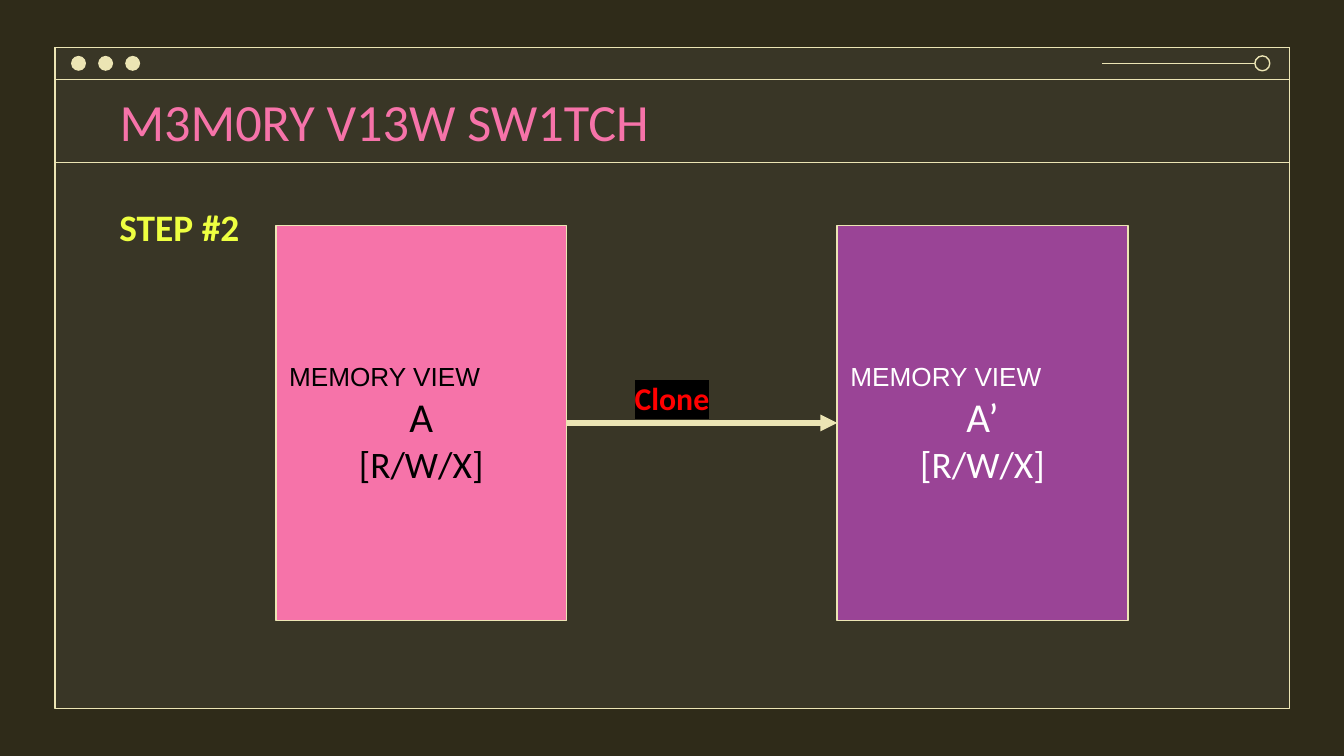
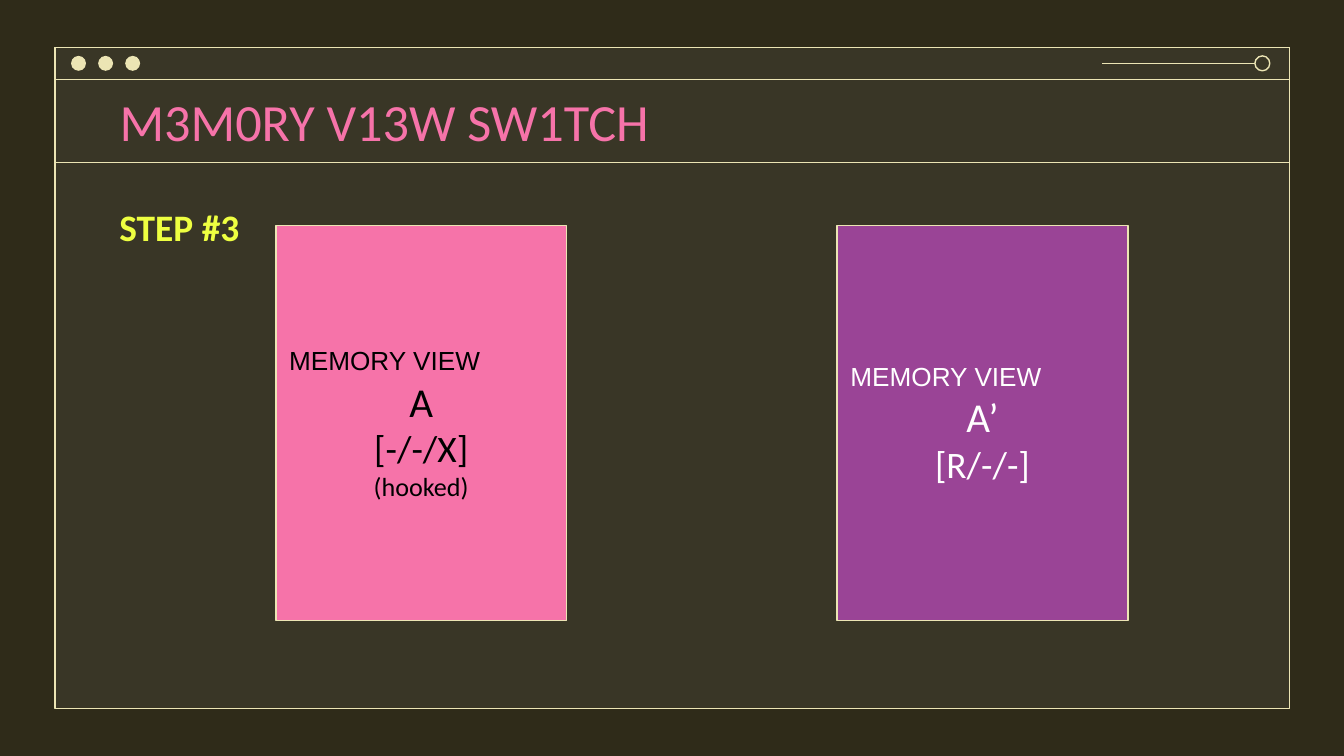
from typing import NamedTuple, Optional

from lxml import etree
from pptx import Presentation
from pptx.dml.color import RGBColor
from pptx.enum.shapes import MSO_CONNECTOR, MSO_SHAPE
from pptx.enum.text import MSO_ANCHOR, MSO_AUTO_SIZE, PP_ALIGN
from pptx.oxml.ns import qn
from pptx.util import Pt

RECTANGLE, OVAL = MSO_SHAPE.RECTANGLE, MSO_SHAPE.OVAL
STRAIGHT = MSO_CONNECTOR.STRAIGHT
LEFT, CENTER = PP_ALIGN.LEFT, PP_ALIGN.CENTER
TOP, MIDDLE = MSO_ANCHOR.TOP, MSO_ANCHOR.MIDDLE
FIXED, GROW = MSO_AUTO_SIZE.NONE, MSO_AUTO_SIZE.SHAPE_TO_FIT_TEXT

BACKGROUND = "2F2B19"
CREAM = "ECE5B4"
GREY = "7C7C7C"
PINK = "F673A9"
PURPLE = "9A4496"
YELLOW = "EEFF41"
RED = "FF0000"
BLACK = "000000"
WHITE = "FFFFFF"

BODY_FONT, LABEL_FONT = "Calibri", "Arial"
INSET = 7.2
THIN, THICK = 0.75, 3

TITLE = "M3M0RY V13W SW1TCH"


class Box(NamedTuple):
    left: float
    top: float
    width: float
    height: float

    @property
    def right(self) -> float:
        return self.left + self.width

    @property
    def middle(self) -> float:
        return self.top + self.height / 2

    def in_points(self) -> tuple:
        return tuple(Pt(length) for length in self)


class MemoryView(NamedTuple):
    name: str
    access: str
    note: str = ""


class Step(NamedTuple):
    label: str
    source: MemoryView
    clone: MemoryView
    arrow_label: str = ""


WINDOW = Box(29.5, 25.4, 661.4, 354.2)
WINDOW_BAR = WINDOW._replace(height=17.1)
DOT_SIZE, DOT_STEP, FIRST_DOT = 8, 14.5, 38.1
DOT_TOP = WINDOW_BAR.middle - DOT_SIZE / 2
RING = Box(672.3, DOT_TOP, DOT_SIZE, DOT_SIZE)
SLIDER_LEFT = 590.4
TITLE_RULE_TOP = 87
TITLE_BOX = Box(56.9, 42.5, 607, 44.5)
STEP_BOX = Box(56.9, 102.4, 95, 38.8)
SOURCE_BOX = Box(147.8, 120.8, 155.8, 211.6)
CLONE_BOX = SOURCE_BOX._replace(left=448.5)
ARROW_LABEL_BOX = Box(257, 195.6, 206, 35.3)

STEPS = [
    Step("STEP #2", MemoryView("A", "[R/W/X]"), MemoryView("A’", "[R/W/X]"), "Clone"),
    Step("STEP #3", MemoryView("A", "[-/-/X]", "(hooked)"), MemoryView("A’", "[R/-/-]")),
]


def rgb(color: str) -> RGBColor:
    return RGBColor.from_string(color)


def add_panel(slide, kind, box: Box, *, fill: Optional[str] = None,
              line: Optional[str] = None, opacity: int = 100):
    shape = slide.shapes.add_shape(kind, *box.in_points())
    shape.shadow.inherit = False
    if fill:
        shape.fill.solid()
        shape.fill.fore_color.rgb = rgb(fill)
        if opacity < 100:
            color = shape.element.spPr.find(qn("a:solidFill"))[0]
            etree.SubElement(color, qn("a:alpha"), val=str(opacity * 1000))
    else:
        shape.fill.background()
    if line:
        shape.line.color.rgb = rgb(line)
        shape.line.width = Pt(THIN)
    else:
        shape.line.fill.background()
    return shape


def add_line(slide, left: float, right: float, height: float, *,
             width: float = THIN, arrow: bool = False) -> None:
    """Draw a horizontal line at the given distance from the slide top."""
    connector = slide.shapes.add_connector(
        STRAIGHT, Pt(left), Pt(height), Pt(right), Pt(height))
    connector.line.color.rgb = rgb(CREAM)
    connector.line.width = Pt(width)
    properties = connector.element.spPr
    if arrow:
        etree.SubElement(properties.find(qn("a:ln")), qn("a:tailEnd"), type="triangle")
    etree.SubElement(properties, qn("a:effectLst"))


def format_frame(frame, *, anchor=TOP, auto_size=FIXED) -> None:
    frame.word_wrap = True
    frame.auto_size = auto_size
    frame.vertical_anchor = anchor
    frame.margin_left = frame.margin_right = Pt(INSET)
    frame.margin_top = frame.margin_bottom = Pt(INSET)


def write(paragraph, text: str, *, size: float, color: str, font: str = BODY_FONT,
          bold: bool = False, align=LEFT, highlight: Optional[str] = None) -> None:
    paragraph.alignment = align
    run = paragraph.add_run()
    run.text = text
    run.font.size = Pt(size)
    run.font.bold = bold
    run.font.color.rgb = rgb(color)
    if highlight:
        marker = etree.SubElement(run._r.get_or_add_rPr(), qn("a:highlight"))
        etree.SubElement(marker, qn("a:srgbClr"), val=highlight)
    run.font.name = font


def add_label(slide, box: Box, text: str, **text_format) -> None:
    frame = slide.shapes.add_textbox(*box.in_points()).text_frame
    format_frame(frame, auto_size=GROW)
    write(frame.paragraphs[0], text, **text_format)


def add_window(slide) -> None:
    add_panel(slide, RECTANGLE, WINDOW, fill=GREY, opacity=14)
    for box in (WINDOW, WINDOW_BAR):
        add_panel(slide, RECTANGLE, box, line=CREAM)
    for index in range(3):
        dot = Box(FIRST_DOT + index * DOT_STEP, DOT_TOP, DOT_SIZE, DOT_SIZE)
        add_panel(slide, OVAL, dot, fill=CREAM)
    add_panel(slide, OVAL, RING, line=CREAM)
    add_line(slide, SLIDER_LEFT, RING.left, RING.middle)
    add_line(slide, WINDOW.left, WINDOW.right, TITLE_RULE_TOP)


def set_title(slide) -> None:
    title = slide.shapes.title
    title.left, title.top, title.width, title.height = TITLE_BOX.in_points()
    format_frame(title.text_frame, anchor=MIDDLE)
    write(title.text_frame.paragraphs[0], TITLE, size=28, color=PINK)
    # Keep the title in front of the translucent window.
    title.element.getparent().append(title.element)


def add_memory_view(slide, box: Box, view: MemoryView, fill: str, color: str) -> None:
    frame = add_panel(slide, RECTANGLE, box, fill=fill, line=CREAM).text_frame
    format_frame(frame, anchor=MIDDLE)
    write(frame.paragraphs[0], "MEMORY VIEW", size=14, color=color, font=LABEL_FONT)
    for text, size in ((view.name, 22), (view.access, 20), (view.note, 14)):
        if text:
            write(frame.add_paragraph(), text, size=size, color=color, align=CENTER)


def add_step_slide(presentation, step: Step) -> None:
    title_only = presentation.slide_layouts.get_by_name("Title Only")
    slide = presentation.slides.add_slide(title_only)
    add_window(slide)
    set_title(slide)
    add_memory_view(slide, SOURCE_BOX, step.source, PINK, BLACK)
    add_memory_view(slide, CLONE_BOX, step.clone, PURPLE, WHITE)
    add_label(slide, STEP_BOX, step.label, size=20, color=YELLOW, bold=True)
    if step.arrow_label:
        add_line(slide, SOURCE_BOX.right, CLONE_BOX.left, SOURCE_BOX.middle,
                 width=THICK, arrow=True)
        add_label(slide, ARROW_LABEL_BOX, step.arrow_label, size=17, color=RED,
                  bold=True, align=CENTER, highlight=BLACK)


def main() -> None:
    presentation = Presentation()
    presentation.slide_width, presentation.slide_height = Pt(720), Pt(405)
    background = presentation.slide_master.background.fill
    background.solid()
    background.fore_color.rgb = rgb(BACKGROUND)
    for step in STEPS:
        add_step_slide(presentation, step)
    presentation.save("out.pptx")


if __name__ == "__main__":
    main()
